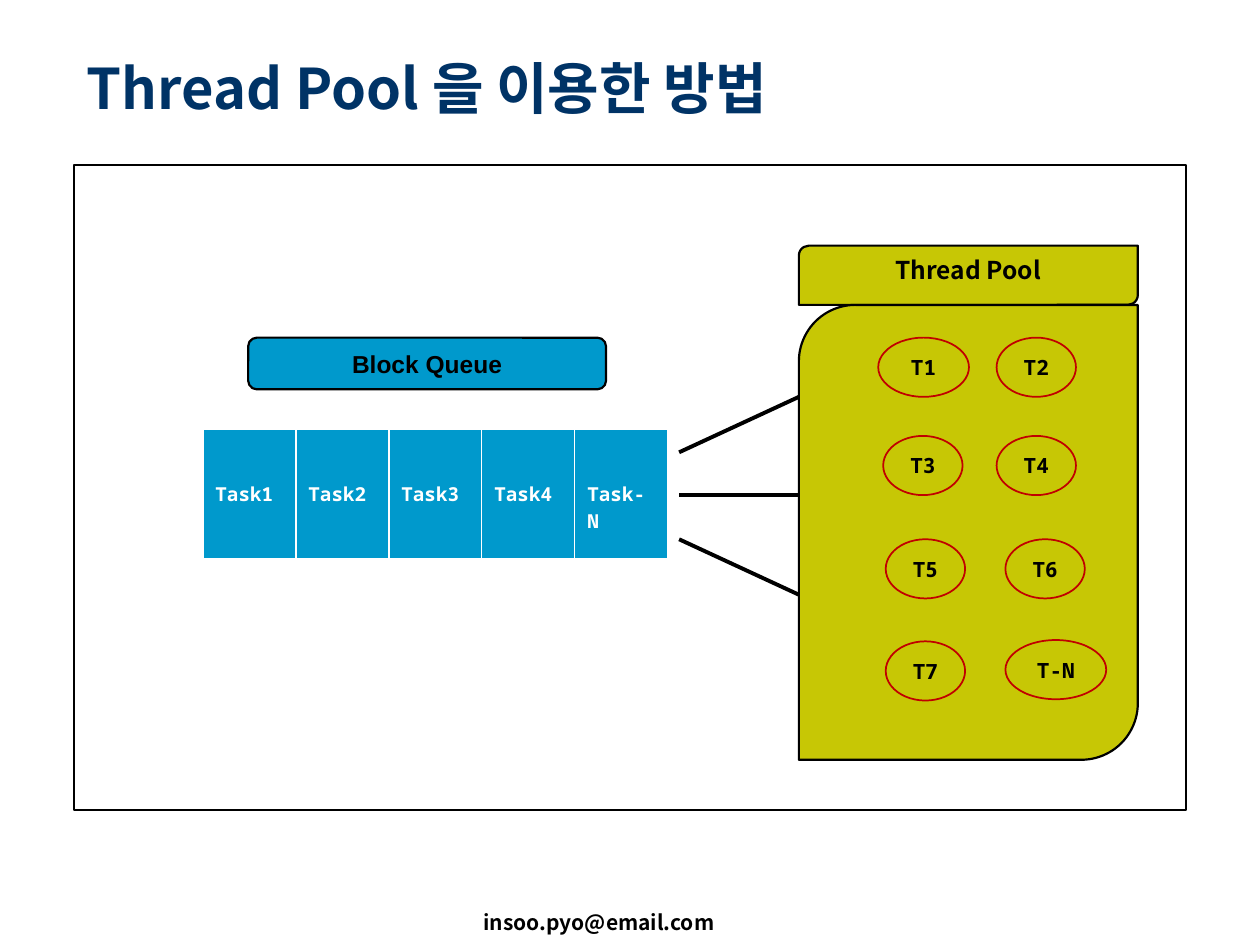
from lxml.etree import SubElement
from pptx import Presentation
from pptx.dml.color import RGBColor
from pptx.enum.shapes import MSO_CONNECTOR, MSO_SHAPE
from pptx.enum.text import MSO_ANCHOR, PP_ALIGN
from pptx.oxml.ns import qn
from pptx.util import Inches, Pt

SANS = "Noto Sans CJK KR"
MONO = "Noto Sans Mono"
BLACK, WHITE, NAVY, BLUE, OLIVE, RED = (
    "000000", "FFFFFF", "003366", "0099CC", "C7C705", "C00000")


def color(value):
    """Return the RGB colour for a hex string."""
    return RGBColor.from_string(value)


def set_attributes(target, values):
    """Set each named attribute of the target."""
    for name, value in values.items():
        setattr(target, name, value)


def write_text(frame, text, size, font=SANS, text_color=BLACK,
               align=PP_ALIGN.LEFT, **frame_format):
    """Write one bold line of text into a text frame."""
    set_attributes(frame, {"word_wrap": True, **frame_format})
    paragraph = frame.paragraphs[0]
    paragraph.alignment = align
    run = paragraph.add_run()
    run.text = text
    set_attributes(run.font, {"name": font, "size": Pt(size), "bold": True})
    run.font.color.rgb = color(text_color)
    SubElement(run.font._element, qn("a:ea"), typeface=font)


def add_title(slide, text):
    """Place and fill the title placeholder."""
    title = slide.shapes.title
    set_attributes(title, {"left": Inches(0.59), "top": Inches(0.36),
                           "width": Inches(8.28), "height": Inches(0.66)})
    title.fill.solid()
    title.fill.fore_color.rgb = color(WHITE)
    write_text(title.text_frame, text, 32, text_color=NAVY,
               vertical_anchor=MSO_ANCHOR.MIDDLE)


def add_box(shapes, kind, bounds, fill=None, line=BLACK, line_width=1.25):
    """Add a preset shape with an outline and an optional fill."""
    shape = shapes.add_shape(kind, *map(Inches, bounds))
    shape.shadow.inherit = False
    if fill:
        shape.fill.solid()
        shape.fill.fore_color.rgb = color(fill)
    else:
        shape.fill.background()
    shape.line.color.rgb = color(line)
    shape.line.width = Pt(line_width)
    return shape


def add_thread(shapes, name, left, top, width=0.63):
    """Add one thread as a labelled ellipse."""
    thread = add_box(shapes, MSO_SHAPE.OVAL, (left, top, width, 0.47),
                     OLIVE, RED, 1)
    write_text(thread.text_frame, name, 12, MONO, align=PP_ALIGN.CENTER,
               vertical_anchor=MSO_ANCHOR.MIDDLE, word_wrap=False)


def add_thread_pool(slide):
    """Add the grouped thread pool with its header and threads."""
    shapes = slide.shapes.add_group_shape().shapes
    header = add_box(shapes, MSO_SHAPE.ROUND_2_DIAG_RECTANGLE,
                     (6.34, 1.95, 2.69, 0.47), OLIVE)
    write_text(header.text_frame, "Thread Pool", 14, align=PP_ALIGN.CENTER,
               vertical_anchor=MSO_ANCHOR.TOP)
    add_box(shapes, MSO_SHAPE.ROUND_2_DIAG_RECTANGLE,
            (6.34, 2.42, 2.69, 3.61), OLIVE)
    threads = [
        ("T1", 6.97, 2.68, 0.72), ("T2", 7.91, 2.68),
        ("T3", 7.01, 3.46), ("T4", 7.91, 3.46),
        ("T5", 7.03, 4.28), ("T6", 7.98, 4.28),
        ("T7", 7.03, 5.09), ("T-N", 7.98, 5.08, 0.8),
    ]
    for thread in threads:
        add_thread(shapes, *thread)


def set_cell_borders(cell):
    """Give a cell white borders, the bottom one thicker."""
    properties = cell._tc.get_or_add_tcPr()
    for index, (side, width) in enumerate(
            {"lnL": 1, "lnR": 1, "lnT": 1, "lnB": 3}.items()):
        border = SubElement(properties, qn(f"a:{side}"), w=str(Pt(width)))
        fill = SubElement(border, qn("a:solidFill"))
        SubElement(fill, qn("a:srgbClr"), val=WHITE)
        properties.insert(index, border)


def add_task_queue(slide, tasks):
    """Add the queue label and the one-row table of tasks."""
    label = add_box(slide.shapes, MSO_SHAPE.ROUNDED_RECTANGLE,
                    (1.97, 2.68, 2.84, 0.41), BLUE)
    write_text(label.text_frame, "Block Queue", 14, "Arial",
               align=PP_ALIGN.CENTER, vertical_anchor=MSO_ANCHOR.MIDDLE)
    table = slide.shapes.add_table(
        1, len(tasks), Inches(1.61), Inches(3.41),
        Inches(3.69), Inches(1.04)).table
    for cell, task in zip(table.rows[0].cells, tasks):
        cell.fill.solid()
        cell.fill.fore_color.rgb = color(BLUE)
        set_attributes(cell, {"margin_top": Inches(0.41),
                              "vertical_anchor": MSO_ANCHOR.TOP})
        write_text(cell.text_frame, task, 11, MONO, WHITE)
        set_cell_borders(cell)


def add_line(slide, start_y, end_y):
    """Add a line from the queue to the thread pool."""
    line = slide.shapes.add_connector(
        MSO_CONNECTOR.STRAIGHT, Inches(5.39), Inches(start_y),
        Inches(6.34), Inches(end_y))
    line.line.color.rgb = color(BLACK)
    line.line.width = Pt(2.25)
    SubElement(line._element.spPr, qn("a:effectLst"))


def add_footer(slide, text):
    """Add the contact address at the foot of the slide."""
    footer = slide.shapes.add_textbox(
        Inches(3.74), Inches(7.17), Inches(3.23), Inches(0.3))
    write_text(footer.text_frame, text, 12)


def main():
    """Build and save the thread pool slide."""
    presentation = Presentation()
    set_attributes(presentation, {"slide_width": Inches(10),
                                  "slide_height": Inches(7.5)})
    slide = presentation.slides.add_slide(presentation.slide_layouts[5])
    add_footer(slide, "insoo.pyo@email.com")
    add_title(slide, "Thread Pool 을 이용한 방법")
    add_thread_pool(slide)
    add_task_queue(slide, ["Task1", "Task2", "Task3", "Task4", "Task-N"])
    for start_y, end_y in [(3.59, 3.15), (3.93, 3.93), (4.28, 4.72)]:
        add_line(slide, start_y, end_y)
    add_box(slide.shapes, MSO_SHAPE.RECTANGLE, (0.59, 1.31, 8.82, 5.12))
    presentation.save("out.pptx")


if __name__ == "__main__":
    main()
